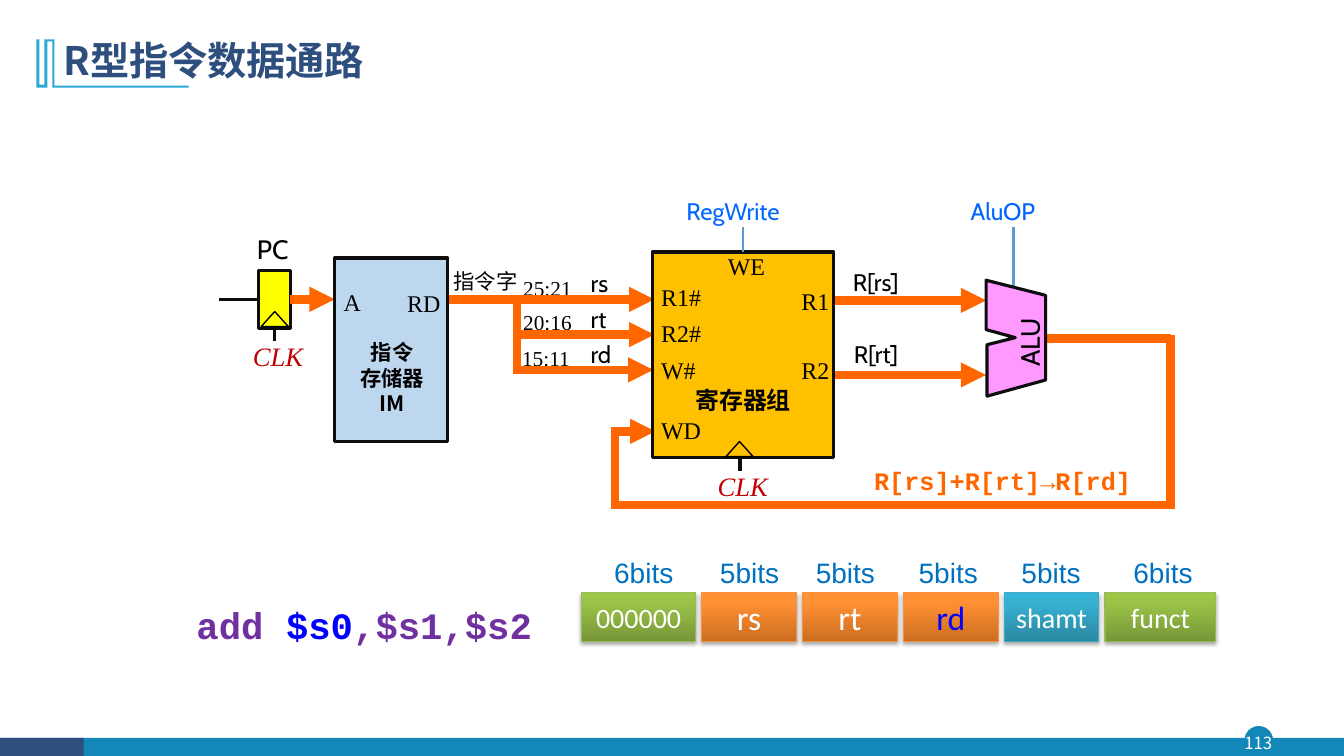
from itertools import pairwise
from lxml import etree
from pptx import Presentation
from pptx.dml.color import RGBColor
from pptx.enum.shapes import MSO_CONNECTOR, MSO_SHAPE
from pptx.enum.text import MSO_ANCHOR, MSO_AUTO_SIZE, PP_ALIGN
from pptx.oxml import parse_xml
from pptx.oxml.ns import nsdecls, qn
from pptx.util import Inches, Pt

WHITE, BLACK, INK = RGBColor(255, 255, 255), RGBColor(0, 0, 0), RGBColor(0x0D, 0x0D, 0x0D)
NAVY, TEAL, CYAN = RGBColor(0x2E, 0x4E, 0x7E), RGBColor(0x13, 0x87, 0xB7), RGBColor(0x28, 0xA9, 0xD6)
BUS, CONTROL, CONTROL_TEXT = RGBColor(0xFF, 0x66, 0), RGBColor(0x5B, 0x9B, 0xD5), RGBColor(0, 0x66, 0xFF)
YELLOW, AMBER = RGBColor(0xFF, 0xFF, 0), RGBColor(0xFF, 0xC0, 0)
PALE_BLUE, PINK = RGBColor(0xBD, 0xD7, 0xEE), RGBColor(0xFF, 0x99, 0xFF)
RED, PURPLE = RGBColor(0xC0, 0, 0), RGBColor(0x70, 0x30, 0xA0)
BLUE, BITS_BLUE = RGBColor(0, 0, 0xFF), RGBColor(0, 0x70, 0xC0)
CJK, SERIF, SANS, MONO = "Noto Sans CJK SC", "Times New Roman", "Cabin", "Courier New"

# Content: the rows of the datapath, in inches
ROW_RS, ROW_RT, ROW_RD, ROW_WD = 2.97, 3.32, 3.67, 4.28
ROW_R1, ROW_R2, ROW_RESULT, ROW_RETURN = 2.98, 3.72, 3.36, 5.01
TRUNK, WRITE_BACK, RESULT = 5.13, 6.1, 11.61
BUS_HALF = 0.04

TITLE = "R型指令数据通路"
PAGE = "113"
BRACKET = [(54, 39), (54, 85), (187, 85), (187, 87), (52, 87), (52, 41), (47, 41), (47, 87),
           (36, 87), (36, 39), (39, 39), (39, 84), (44, 84), (44, 39)]
ALU_OUTLINE = [(978, 278), (978, 327), (1007, 335), (979, 342), (979, 393), (1037, 377), (1037, 293)]

# Buses: corner points, arrow at the end
BUSES = [
    ([(4.44, ROW_RS), (TRUNK, ROW_RS), (TRUNK, ROW_RD), (6.48, ROW_RD)], True),
    ([(TRUNK, ROW_RS), (6.49, ROW_RS)], True),
    ([(TRUNK, ROW_RT), (6.49, ROW_RT)], True),
    ([(8.22, ROW_R1), (9.78, ROW_R1)], True),
    ([(8.23, ROW_R2), (9.78, ROW_R2)], True),
    ([(10.37, ROW_RESULT), (RESULT, ROW_RESULT), (RESULT, ROW_RETURN),
      (WRITE_BACK, ROW_RETURN), (WRITE_BACK, ROW_WD), (6.5, ROW_WD)], True),
]

# Labels: size, font, colour, italic, then (text, left, top, width)
BIT_RANGES = (15.2, SERIF, BLACK, False,
              [("25:21", 5.09, 2.68, 0.69), ("20:16", 5.09, 3.02, 0.69), ("15:11", 5.08, 3.38, 0.68)])
LABELS = [
    (17.1, SERIF, BLACK, False, [
        ("R1#", 6.46, 2.75, 0.6), ("R2#", 6.46, 3.11, 0.6), ("W#", 6.46, 3.48, 0.55),
        ("WD", 6.46, 4.07, 0.6), ("WE", 7.12, 2.45, 0.57), ("R1", 7.85, 2.79, 0.48),
        ("R2", 7.85, 3.48, 0.48), ("RD", 3.94, 2.81, 0.54), ("A", 3.31, 2.8, 0.38)]),
    (17.1, SANS, BLACK, False, [
        ("rs", 5.76, 2.62, 0.42), ("rt", 5.76, 2.97, 0.41), ("rd", 5.76, 3.32, 0.46),
        ("R[rs]", 8.36, 2.61, 0.77), ("R[rt]", 8.37, 3.32, 0.77)]),
    (17.1, SANS, CONTROL_TEXT, False, [("RegWrite", 6.71, 1.9, 1.32), ("AluOP", 9.53, 1.9, 0.94)]),
    (19, SANS, BLACK, False, [("PC", 2.45, 2.26, 0.54)]),
    (19, SERIF, RED, True, [("CLK", 2.41, 3.32, 0.7), ("CLK", 7.02, 4.61, 0.7)]),
    (15.2, CJK, BLACK, False, [("指令字", 4.4, 2.61, 0.84)]),
]
MEMORY_NAME, REGISTERS_NAME = ["指令", "存储器", "IM"], ["寄存器组"]
INSTRUCTION = [("add ", PURPLE), ("$s0", BLUE), (",$s1,$s2", PURPLE)]
TRANSFER = [("R[rs]+R[rt]→R[rd]", BUS)]

# Instruction format: name, width, size, colour, theme, bits, left of the bits label
GREEN = ("779737", "9BC348", "9DC746", "98B955")
ORANGE = ("CC6E20", "FF9034", "FF9136", "F69240")
AQUA = ("2A88A2", "37B1D2", "34B4D6", "46AAC5")
FIELDS = [("000000", 1.13, 20, WHITE, GREEN, "6bits", 5.9),
          ("rs", 0.94, 24, WHITE, ORANGE, "5bits", 6.95),
          ("rt", 0.94, 24, WHITE, ORANGE, "5bits", 7.9),
          ("rd", 0.94, 24, BLUE, ORANGE, "5bits", 8.92),
          ("shamt", 0.94, 20, WHITE, AQUA, "5bits", 9.94),
          ("funct", 1.1, 20, WHITE, GREEN, "6bits", 11.05)]
FIELD_LEFT, FIELD_TOP, FIELD_HEIGHT, FIELD_GAP = 5.77, 5.88, 0.48, 0.06

deck = Presentation()
deck.slide_width, deck.slide_height = Inches(13.33), Inches(7.5)
slide = deck.slides.add_slide(deck.slide_layouts[6])
shapes = slide.shapes


def paint(shape, fill, line=None, weight=2.25):
    shape.shadow.inherit = False
    shape.fill.solid()
    shape.fill.fore_color.rgb = fill
    if line is None:
        shape.line.fill.background()
    else:
        shape.line.color.rgb, shape.line.width = line, Pt(weight)
    return shape


def block(kind, left, top, width, height, fill, line=None, weight=2.25):
    shape = shapes.add_shape(kind, *map(Inches, (left, top, width, height)))
    return paint(shape, fill, line, weight)


def outline(points, fill, line=None):
    builder = shapes.build_freeform(*points[0], scale=Inches(0.01))
    builder.add_line_segments(points[1:], close=True)
    return paint(builder.convert_to_shape(), fill, line)


def style(paragraph, size, font, color=None, bold=False, italic=False, align=PP_ALIGN.LEFT):
    paragraph.alignment = align
    face = paragraph.font
    face.size, face.bold, face.italic = Pt(size), bold, italic
    if color is not None:
        face.color.rgb = color
    face.name = font
    if font == CJK:
        defaults = paragraph._p.pPr.find(qn("a:defRPr"))
        etree.SubElement(defaults, qn("a:ea")).set("typeface", font)


def label(lines, left, top, width, size, font, color, height=None, wrap=False, **look):
    height = height or len(lines) * size / 60 + 0.1
    box = shapes.add_textbox(*map(Inches, (left, top, width, height)))
    frame = box.text_frame
    frame.word_wrap = wrap
    frame.auto_size = MSO_AUTO_SIZE.NONE if wrap else MSO_AUTO_SIZE.SHAPE_TO_FIT_TEXT
    frame.text = "\n".join(lines)
    for paragraph in frame.paragraphs:
        style(paragraph, size, font, color, **look)
    return box


def labels(size, font, color, italic, entries):
    for words, left, top, width in entries:
        label([words], left, top, width, size, font, color, italic=italic)


def wire(start, end, color, weight, arrow=False):
    line = shapes.add_connector(MSO_CONNECTOR.STRAIGHT, *map(Inches, (*start, *end)))
    line.line.color.rgb, line.line.width = color, Pt(weight)
    if arrow:
        etree.SubElement(line.line._get_or_add_ln(), qn("a:tailEnd")).set("type", "triangle")
    etree.SubElement(line._element.spPr, qn("a:effectLst"))
    return line


def code_line(runs, left, top, width, size):
    box = shapes.add_textbox(*map(Inches, (left, top, width, 0.6)))
    box.text_frame.word_wrap = True
    paragraph = box.text_frame.paragraphs[0]
    for words, color in runs:
        run = paragraph.add_run()
        run.text, run.font.color.rgb = words, color
    style(paragraph, size, MONO, bold=True)
    paragraph.line_spacing = 1.2


# Page frame and title
block(MSO_SHAPE.OVAL, 12.35, 7.21, 0.27, 0.27, TEAL, TEAL, 1)
block(MSO_SHAPE.RECTANGLE, 0.01, 7.32, 13.32, 0.18, TEAL)
block(MSO_SHAPE.RECTANGLE, 0, 7.32, 0.83, 0.18, NAVY)
page = label([PAGE], 12.32, 7.21, 0.32, 12, CJK, WHITE, 0.31, True, align=PP_ALIGN.CENTER).text_frame
page.vertical_anchor = MSO_ANCHOR.MIDDLE
page.margin_left = page.margin_right = page.margin_top = page.margin_bottom = 0
outline(BRACKET, CYAN)
title = label([TITLE], 0.53, 0.28, 11.5, 28, CJK, NAVY, 0.68, True, bold=True).text_frame
title.vertical_anchor = MSO_ANCHOR.MIDDLE
title.paragraphs[0].line_spacing = 0.9

# Buses, with each vertical run lengthened to square its corners
labels(*BIT_RANGES)
for points, arrow in BUSES:
    for (x1, y1), (x2, y2) in pairwise(points):
        reach = BUS_HALF * ((y2 > y1) - (y2 < y1))
        wire((x1, y1 - reach), (x2, y2 + reach), BUS, 6, arrow and (x2, y2) == points[-1])

# Program counter, registers and instruction memory
counter = block(MSO_SHAPE.RECTANGLE, 2.56, 2.68, 0.32, 0.58, YELLOW, INK)
wire((2.17, ROW_RS), (2.56, ROW_RS), INK, 2.25).end_connect(counter, 1)
wire((2.88, ROW_RS), (3.32, ROW_RS), BUS, 6, True).begin_connect(counter, 3)
wire((2.72, 3.38), (2.72, 3.26), INK, 2.25).end_connect(counter, 2)
registers = block(MSO_SHAPE.RECTANGLE, 6.47, 2.5, 1.8, 2.04, AMBER, INK)
wire((7.37, 2.25), (7.37, 2.5), CONTROL, 2).end_connect(registers, 0)
wire((7.34, 4.67), (7.34, 4.54), INK, 2.25)
block(MSO_SHAPE.RECTANGLE, 3.32, 2.56, 1.12, 1.82, PALE_BLUE, INK)
for left, top, fill in [(2.59, 3.09, YELLOW), (7.2, 4.38, AMBER)]:
    block(MSO_SHAPE.ISOSCELES_TRIANGLE, left, top, 0.27, 0.15, fill, BLACK, 1)
label(MEMORY_NAME, 3.47, 3.32, 0.84, 15.2, CJK, BLACK, bold=True, align=PP_ALIGN.CENTER)
label(REGISTERS_NAME, 6.79, 3.78, 1.16, 17.1, CJK, BLACK, bold=True, align=PP_ALIGN.CENTER)

# ALU and the labels of the datapath
wire((10.05, 2.25), (10.05, 2.85), CONTROL, 2)
outline(ALU_OUTLINE, PINK, INK)
label(["ALU"], 9.84, 3.16, 0.74, 19, SANS, BLACK).rotation = 270
for group in LABELS:
    labels(*group)

# Instruction and its format
code_line(INSTRUCTION, 1.85, 5.84, 3.69, 26.6)
code_line(TRANSFER, 8.57, 4.51, 4.58, 18)
left = FIELD_LEFT
for name, width, size, color, (dark, light, top_tone, edge), bits, bits_left in FIELDS:
    field = block(MSO_SHAPE.RECTANGLE, left, FIELD_TOP, width, FIELD_HEIGHT, WHITE,
                  RGBColor.from_string(edge), 0.75)
    stops = "".join(f'<a:gs pos="{pos}000"><a:srgbClr val="{tone}"/></a:gs>'
                    for pos, tone in [(0, dark), (80, light), (100, top_tone)])
    properties = field._element.spPr
    properties.replace(properties.find(qn("a:solidFill")), parse_xml(
        f'<a:gradFill {nsdecls("a")} rotWithShape="1"><a:gsLst>{stops}</a:gsLst>'
        '<a:lin ang="16200000" scaled="0"/></a:gradFill>'))
    properties.find(qn("a:effectLst")).append(parse_xml(
        f'<a:outerShdw {nsdecls("a")} blurRad="{Pt(3.1)}" dist="{Pt(1.8)}" dir="5400000" rotWithShape="0">'
        '<a:srgbClr val="000000"><a:alpha val="35000"/></a:srgbClr></a:outerShdw>'))
    field.text_frame.text = name
    field.text_frame.vertical_anchor = MSO_ANCHOR.MIDDLE
    style(field.text_frame.paragraphs[0], size, "Calibri", color, align=PP_ALIGN.CENTER)
    label([bits], bits_left, 5.46, 0.97, 20, "Arial", BITS_BLUE, 0.45, True, align=PP_ALIGN.CENTER)
    left += width + FIELD_GAP

deck.save("out.pptx")
